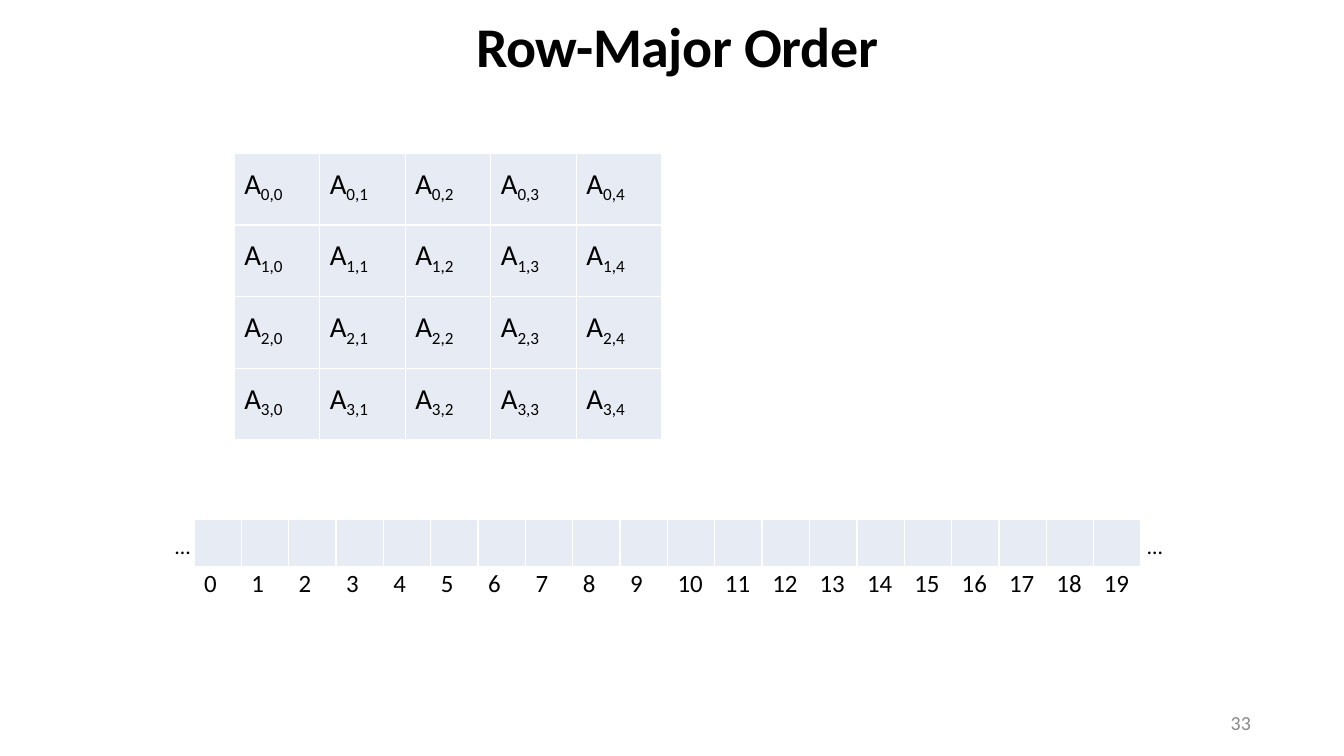
from lxml import etree
from pptx import Presentation
from pptx.dml.color import RGBColor
from pptx.enum.text import MSO_ANCHOR, MSO_AUTO_SIZE, PP_ALIGN
from pptx.oxml.ns import qn
from pptx.util import Pt

LEFT, CENTER, RIGHT = PP_ALIGN.LEFT, PP_ALIGN.CENTER, PP_ALIGN.RIGHT
TOP, MIDDLE = MSO_ANCHOR.TOP, MSO_ANCHOR.MIDDLE
NO_FIT = MSO_AUTO_SIZE.NONE
FONT = "Calibri"
BLACK, WHITE, GRAY, CELL = "000000", "FFFFFF", "898989", "E7EBF3"
CELL_INDENT = 6.55


def color(value):
    return RGBColor.from_string(value)


def style(p, size, fill=BLACK, align=LEFT, indent=0, bold=False):
    pPr = p._p.get_or_add_pPr()
    pPr.set("marL", str(Pt(indent)))
    pPr.set("indent", "0")
    p.alignment = align
    p.font.name, p.font.size, p.font.bold = FONT, Pt(size), bold
    p.font.color.rgb = color(fill)


def place_text(s, box, text, size, anchor=TOP, **look):
    sp = s.shapes.add_textbox(*map(Pt, box))
    fill_text(sp.text_frame, text, size, anchor, **look)


def fill_text(tf, text, size, anchor, **look):
    tf.margin_left = tf.margin_top = tf.margin_right = tf.margin_bottom = 0
    tf.word_wrap, tf.auto_size, tf.vertical_anchor = True, NO_FIT, anchor
    p = tf.paragraphs[0]
    p.text = text
    style(p, size, **look)


def add_title(s, box, text):
    sp = s.shapes.title
    sp.left, sp.top, sp.width, sp.height = map(Pt, box)
    fill_text(sp.text_frame, text, 36, MIDDLE, align=CENTER, indent=177, bold=True)
    sp.text_frame.paragraphs[0].runs[0]._r.get_or_add_rPr().set("spc", "-25")


def set_borders(cell, top=1, bottom=1):
    tcPr = cell._tc.get_or_add_tcPr()
    widths = {"lnL": 1, "lnR": 1, "lnT": top, "lnB": bottom}
    for i, (side, width) in enumerate(widths.items()):
        ln = etree.Element(qn(f"a:{side}"), w=str(Pt(width)))
        solid = etree.SubElement(ln, qn("a:solidFill"))
        etree.SubElement(solid, qn("a:srgbClr"), val=WHITE)
        tcPr.insert(i, ln)


def add_grid(s, box, rows, cols):
    x, y, w, h = box
    table = s.shapes.add_table(rows, cols, *map(Pt, box)).table
    table.first_row = table.horz_banding = False
    for column in table.columns:
        column.width = Pt(w / cols)
    for row in table.rows:
        row.height = Pt(h / rows)
    for cell in table.iter_cells():
        cell.margin_left = cell.margin_right = 0
        cell.margin_top = cell.margin_bottom = 0
        cell.fill.solid()
        cell.fill.fore_color.rgb = color(CELL)
    return table


def add_matrix(s, box, rows, cols):
    table = add_grid(s, box, rows, cols)
    for i in range(rows):
        for j in range(cols):
            cell = table.cell(i, j)
            set_borders(cell)
            p = cell.text_frame.paragraphs[0]
            style(p, 11, indent=CELL_INDENT)
            r = p.add_run()
            r.text = "A"
            r.font.size = Pt(32)
            r._r.get_or_add_rPr().set("baseline", "13000")
            p.add_run().text = f"{i},{j}"


def add_memory(s, box, count):
    x, y, w, h = box
    table = add_grid(s, box, 2, count)
    for i in range(count):
        slot, label = table.cell(0, i), table.cell(1, i)
        set_borders(slot, bottom=3.16)
        set_borders(label, top=3.16)
        label.fill.background()
        p = label.text_frame.paragraphs[0]
        p.text = str(i)
        style(p, 16, indent=CELL_INDENT)
    for left in (x - 12, x + w + 4):
        place_text(s, (left, y + 8.6, 12.2, 17.3), "…", 14)


def main():
    prs = Presentation()
    prs.slide_width, prs.slide_height = Pt(864), Pt(486)
    s = prs.slides.add_slide(prs.slide_layouts[5])
    add_title(s, (108, 9.4, 477.4, 39.6), "Row-Major Order")
    add_matrix(s, (150.5, 98.6, 275, 184.3), 4, 5)
    add_memory(s, (124.6, 334.1, 609.1, 62.6), 20)
    place_text(s, (609.8, 451.2, 194.4, 26), "33", 12.8, MIDDLE, fill=GRAY, align=RIGHT)
    prs.save("out.pptx")


if __name__ == "__main__":
    main()
